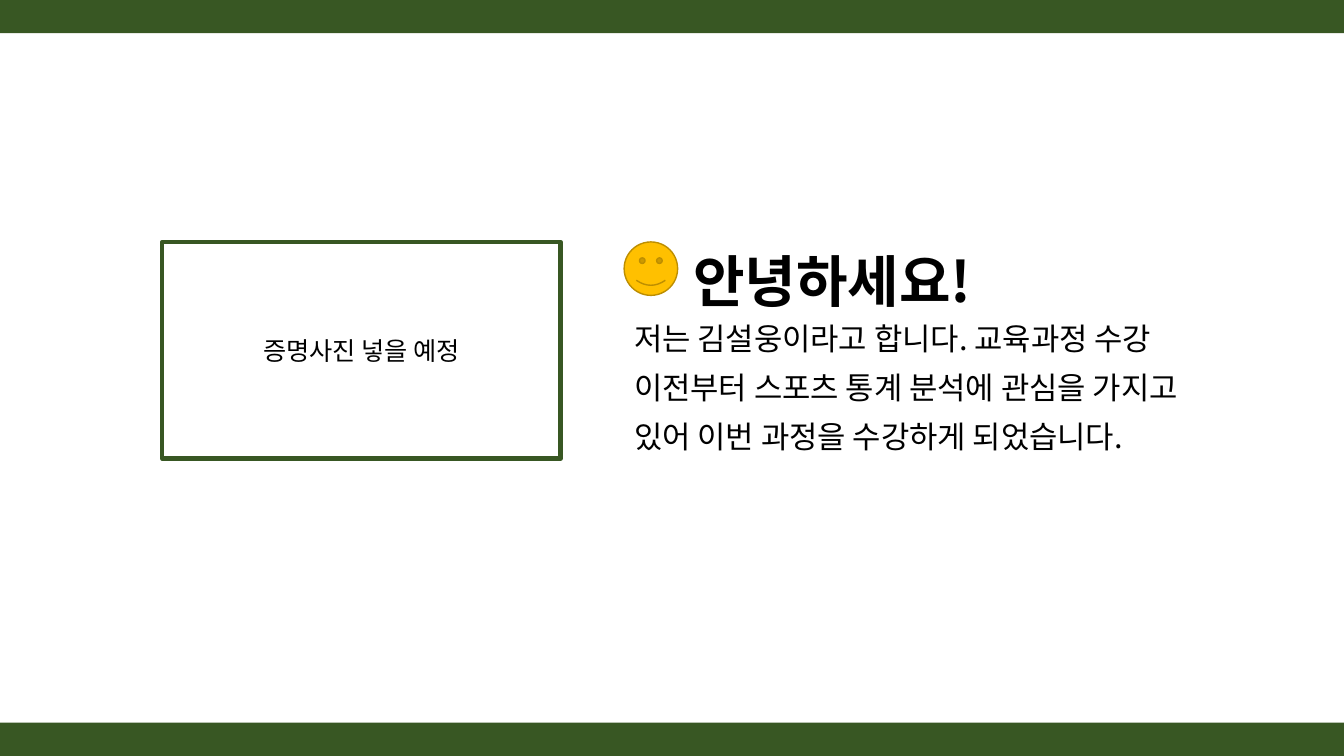
import pptx
import pptx.util
import pptx.dml.color
import pptx.enum.shapes
import pptx.enum.text
import pptx.oxml.ns
import lxml.etree

RGBColor = pptx.dml.color.RGBColor
Shape = pptx.enum.shapes.MSO_SHAPE
Align = pptx.enum.text.PP_ALIGN
Anchor = pptx.enum.text.MSO_ANCHOR
Pt = pptx.util.Pt

GREEN = RGBColor(0x38, 0x57, 0x23)
YELLOW = RGBColor(0xFF, 0xC0, 0x00)
OCHRE = RGBColor(0xBD, 0x8E, 0x00)
BLACK = RGBColor(0, 0, 0)
WHITE = RGBColor(0xFF, 0xFF, 0xFF)
FONT = "Noto Sans CJK KR"


class IntroSlide:
    """Places elements by (left, top, width, height) in percent of the slide."""

    def __init__(self, deck):
        self.size = (deck.slide_width, deck.slide_height) * 2
        self.slide = deck.slides.add_slide(deck.slide_layouts[6])
        background = self.slide.background.fill
        background.solid()
        background.fore_color.rgb = WHITE

    def place(self, area):
        return [round(share * whole / 100) for share, whole in zip(area, self.size)]

    def set_words(self, holder, words, size, align=Align.LEFT, spacing=None,
                  bold=False, anchor=Anchor.MIDDLE, wrap=True):
        frame = holder.text_frame
        frame.word_wrap = wrap
        frame.vertical_anchor = anchor
        paragraph = frame.paragraphs[0]
        paragraph.alignment = align
        if spacing:
            paragraph.line_spacing = Pt(spacing)
        run = paragraph.add_run()
        run.text = words
        looks = {"name": FONT, "size": Pt(size), "bold": bold}
        for key, value in looks.items():
            setattr(run.font, key, value)
        run.font.color.rgb = BLACK
        # Hangul takes its typeface from the East Asian slot
        lxml.etree.SubElement(run.font._element, pptx.oxml.ns.qn("a:ea"), typeface=FONT)

    def text(self, area, words, size, **style):
        box = self.slide.shapes.add_textbox(*self.place(area))
        self.set_words(box, words, size, **style)

    def shape(self, kind, area, fill=None, line=None, weight=1):
        figure = self.slide.shapes.add_shape(kind, *self.place(area))
        figure.shadow.inherit = False
        for part, color in ((figure.fill, fill), (figure.line.fill, line)):
            if color is None:
                part.background()
            else:
                part.solid()
                part.fore_color.rgb = color
        if line is not None:
            figure.line.width = Pt(weight)
        return figure


def main():
    deck = pptx.Presentation()
    deck.slide_width = pptx.util.Inches(13.33)
    deck.slide_height = pptx.util.Inches(7.5)
    intro = IntroSlide(deck)

    text_left, content_top, bar_height = 46.44, 32, 4.4
    intro.text((text_left, 40, 45.24, 20.93),
               "저는 김설웅이라고 합니다. 교육과정 수강 이전부터 스포츠 통계 분석에 관심을 가지고 "
               "있어 이번 과정을 수강하게 되었습니다.", 22, spacing=35)
    intro.text((50.41, 26.93, 21.53, 15.33), "안녕하세요!", 40, align=Align.CENTER,
               spacing=75, bold=True, anchor=Anchor.TOP, wrap=False)

    photo_frame = intro.shape(Shape.RECTANGLE, (12.08, content_top, 29.63, 28.67),
                              line=GREEN, weight=3)
    intro.set_words(photo_frame, "증명사진 넣을 예정", 18, align=Align.CENTER)
    intro.shape(Shape.SMILEY_FACE, (text_left, content_top, 3.98, 7.07),
                fill=YELLOW, line=OCHRE)
    for bar_top in (0, 100 - bar_height):
        intro.shape(Shape.RECTANGLE, (0, bar_top, 100, bar_height), fill=GREEN)

    deck.save("out.pptx")


if __name__ == "__main__":
    main()
